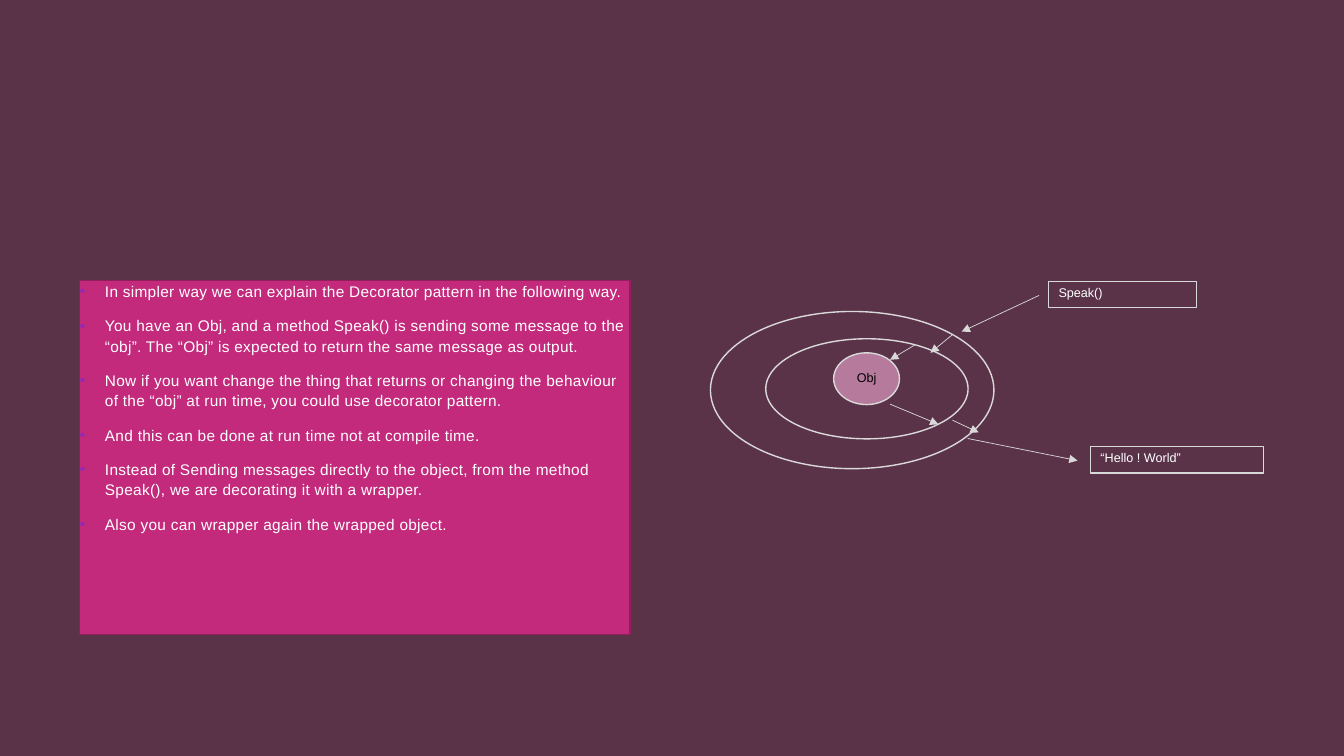
from pptx import Presentation
from pptx.dml.color import RGBColor
from pptx.enum.shapes import MSO_CONNECTOR, MSO_SHAPE as SHAPE
from pptx.enum.text import MSO_ANCHOR as ANCHOR, PP_ALIGN as ALIGN
from pptx.oxml.ns import qn
from pptx.util import Pt
from lxml.etree import SubElement

HUES = {
    "back": "5B3349",
    "panel": "C32A7C",
    "edge": "901F5C",
    "bullet": "892AC3",
    "core": "B67B9C",
    "line": "D9D9D9",
    "white": "FFFFFF",
    "black": "000000",
}
FONT = "Arial"

POINTS = [
    "In simpler way we can explain the Decorator pattern in the following way.",
    "You have an Obj, and a method Speak() is sending some message to the “obj”. "
    "The “Obj” is expected to return the same message as output.",
    "Now if you want change the thing that returns or changing the behaviour "
    "of the “obj” at run time, you could use decorator pattern.",
    "And this can be done at run time not at compile time.",
    "Instead of Sending messages directly to the object, from the method "
    "Speak(), we are decorating it with a wrapper.",
    "Also you can wrapper again the wrapped object.",
]

# Start and end of each step of the message, inwards and then outwards
CALLS = [
    (742.3, 211, 686.9, 236.9),
    (680.4, 239, 664.6, 252),
    (653.8, 246.2, 635.8, 257),
    (635.8, 288.7, 670.3, 303.1),
    (680.4, 300.2, 699.1, 308.9),
    (691.2, 313.2, 769.7, 329),
]


def color(name):
    return RGBColor.from_string(HUES[name])


def add_form(slide, kind, box, fill=None, edge="line", width=1):
    form = slide.shapes.add_shape(kind, *map(Pt, box))
    form.shadow.inherit = False
    if fill:
        form.fill.solid()
        form.fill.fore_color.rgb = color(fill)
    else:
        form.fill.background()
    form.line.color.rgb = color(edge)
    form.line.width = Pt(width)
    return form


def style(para, size, hue, space, align=ALIGN.LEFT):
    para.alignment = align
    para.line_spacing = space
    for run in para.runs:
        run.font.name = FONT
        run.font.size = Pt(size)
        run.font.color.rgb = color(hue)


def add_bullet(para):
    """Give the paragraph a hanging bullet."""
    props = para._p.get_or_add_pPr()
    props.set("marL", str(Pt(18)))
    props.set("indent", str(Pt(-18)))
    tint = SubElement(props, qn("a:buClr"))
    SubElement(tint, qn("a:srgbClr"), val=HUES["bullet"])
    SubElement(props, qn("a:buFont"), typeface=FONT)
    SubElement(props, qn("a:buChar"), char="•")


def add_panel(slide, box, points):
    frame = add_form(slide, SHAPE.RECTANGLE, box, "panel", "edge").text_frame
    frame.word_wrap = True
    frame.vertical_anchor = ANCHOR.TOP
    frame.margin_left = frame.margin_right = 0
    frame.margin_top = frame.margin_bottom = 0
    frame.text = "\n".join(points)
    for para in frame.paragraphs:
        style(para, 11, "white", 1.1)
        para.space_before = Pt(10)
        add_bullet(para)
        for run in para.runs:
            run.font._element.set("spc", "20")


def add_label(form, text, hue, align, anchor):
    frame = form.text_frame
    frame.word_wrap = True
    frame.vertical_anchor = anchor
    frame.text = text
    para = frame.paragraphs[0]
    style(para, 9, hue, 0.9, align)
    para.space_after = Pt(6)


def add_note(slide, box, text):
    note = add_form(slide, SHAPE.RECTANGLE, box, width=0.75)
    add_label(note, text, "white", ALIGN.LEFT, ANCHOR.TOP)


def add_arrow(slide, ends):
    arrow = slide.shapes.add_connector(MSO_CONNECTOR.STRAIGHT, *map(Pt, ends))
    arrow.line.color.rgb = color("line")
    arrow.line.width = Pt(0.5)
    SubElement(arrow.line._get_or_add_ln(), qn("a:tailEnd"), type="triangle")
    SubElement(arrow._element.spPr, qn("a:effectLst"))


def main():
    deck = Presentation()
    deck.slide_width, deck.slide_height = Pt(960), Pt(540)
    slide = deck.slides.add_slide(deck.slide_layouts[6])
    slide.background.fill.solid()
    slide.background.fill.fore_color.rgb = color("back")

    add_panel(slide, (57, 200.3, 393, 253), POINTS)

    core = add_form(slide, SHAPE.OVAL, (595.5, 252, 47, 37), "core")
    add_label(core, "Obj", "black", ALIGN.CENTER, ANCHOR.MIDDLE)
    for ring in [(547, 242, 144.5, 71.5), (507.5, 222.5, 202.5, 112.3)]:
        add_form(slide, SHAPE.OVAL, ring)

    add_note(slide, (779, 319.2, 123.5, 18.7), "“Hello ! World”")
    add_note(slide, (749, 201.3, 106, 18.7), "Speak()")
    for ends in CALLS:
        add_arrow(slide, ends)

    deck.save("out.pptx")


if __name__ == "__main__":
    main()
